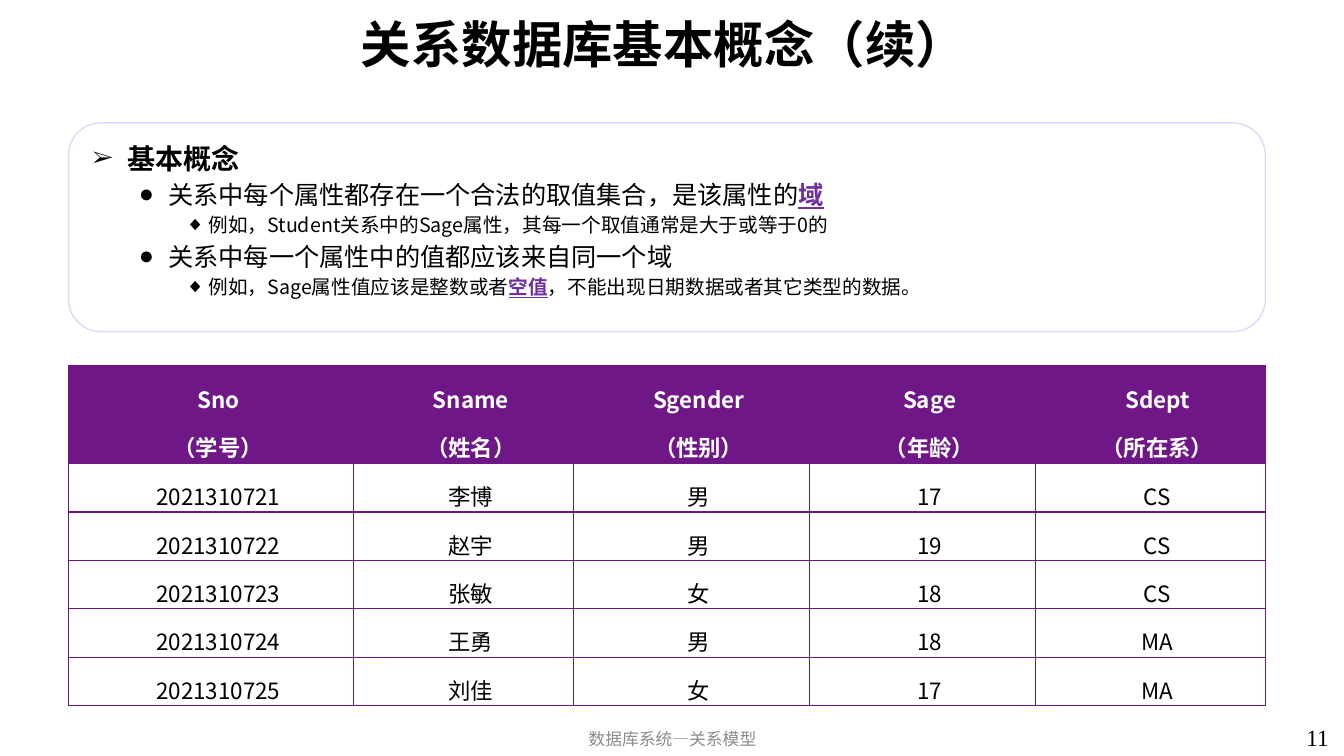
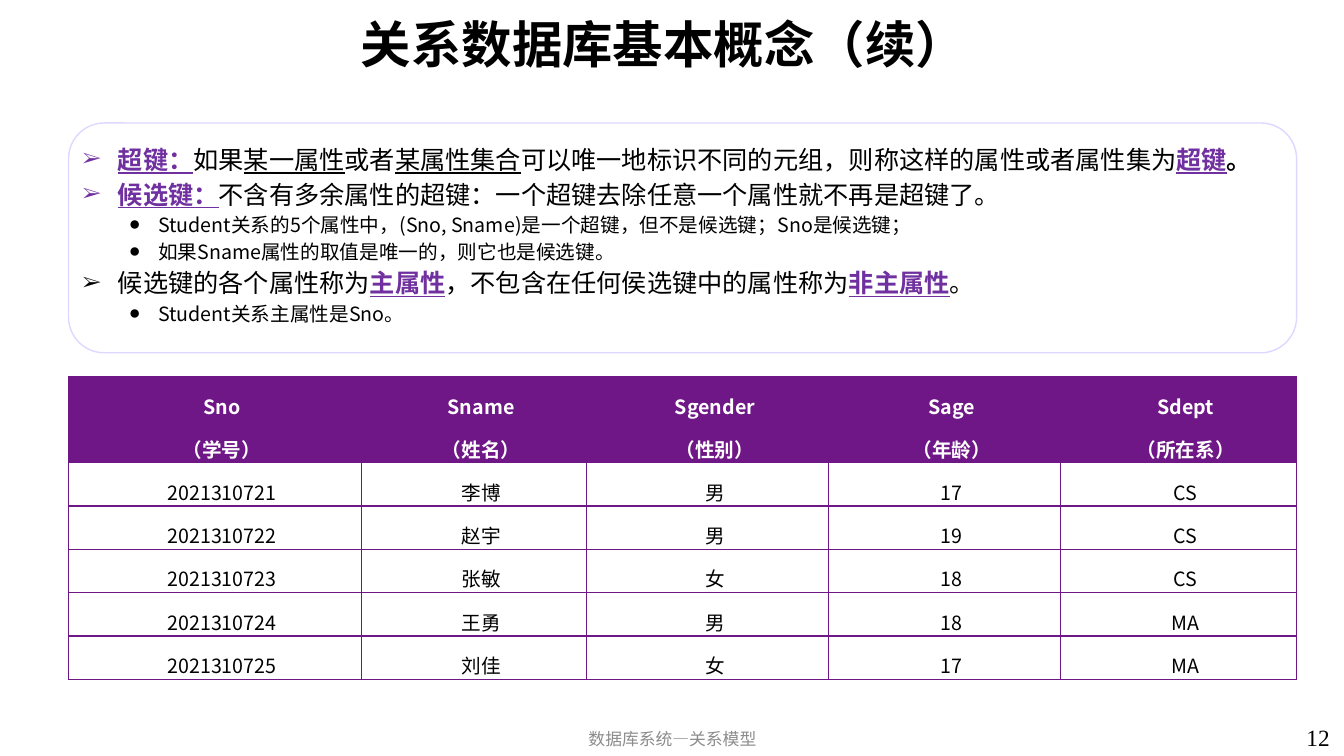
from lxml.etree import SubElement
from pptx import Presentation
from pptx.dml.color import RGBColor
from pptx.enum.shapes import MSO_SHAPE as Preset
from pptx.enum.text import MSO_ANCHOR as Anchor, PP_ALIGN as Align
from pptx.oxml.ns import qn
from pptx.util import Pt

EMU_PER_PX = 9144
SANS = "Noto Sans CJK SC"
SERIF = "Times New Roman"
BLACK = RGBColor(0x00, 0x00, 0x00)
WHITE = RGBColor(0xFF, 0xFF, 0xFF)
GRAY = RGBColor(0x8C, 0x8C, 0x8C)
PURPLE = RGBColor(0x6F, 0x17, 0x87)
VIOLET = RGBColor(0x70, 0x30, 0xA0)
LAVENDER = RGBColor(0xDD, 0xD8, 0xFF)

PLAIN = {}
BOLD = {"bold": True}
UNDERLINED = {"underline": True}
KEY = {"color": VIOLET, "bold": True, "underline": True}
LEVELS = [("➢", 80, 35, -35), ("●", 100, 75, -29), ("◆", 100, 115, -23)]

TITLE = "关系数据库基本概念（续）"
FOOTER = "数据库系统—关系模型"
COLUMN_WEIGHTS = [283, 218, 234, 224, 228]
STUDENTS = [
    ["Sno\n（学号）", "Sname\n（姓名）", "Sgender\n（性别）", "Sage\n（年龄）", "Sdept\n（所在系）"],
    ["2021310721", "李博", "男", "17", "CS"],
    ["2021310722", "赵宇", "男", "19", "CS"],
    ["2021310723", "张敏", "女", "18", "CS"],
    ["2021310724", "王勇", "男", "18", "MA"],
    ["2021310725", "刘佳", "女", "17", "MA"],
]
DOMAIN_POINTS = [
    (0, 20, [("基本概念", BOLD)]),
    (1, 18, [("关系中每个属性都存在一个合法的取值集合，是该属性的", PLAIN), ("域", KEY)]),
    (2, 14, [("例如，Student关系中的Sage属性，其每一个取值通常是大于或等于0的", PLAIN)]),
    (1, 18, [("关系中每一个属性中的值都应该来自同一个域", PLAIN)]),
    (2, 14, [("例如，Sage属性值应该是整数或者", PLAIN), ("空值", KEY),
             ("，不能出现日期数据或者其它类型的数据。", PLAIN)]),
]
KEY_POINTS = [
    (0, 18, [("超键：", KEY), ("如果", PLAIN), ("某一属性", UNDERLINED), ("或者", PLAIN),
             ("某属性集合", UNDERLINED),
             ("可以唯一地标识不同的元组，则称这样的属性或者属性集为", PLAIN),
             ("超键", KEY), ("。", BOLD)]),
    (0, 18, [("候选键：", KEY),
             ("不含有多余属性的超键：一个超键去除任意一个属性就不再是超键了。", PLAIN)]),
    (1, 14, [("Student关系的5个属性中，(Sno, Sname)是一个超键，但不是候选键；Sno是候选键；", PLAIN)]),
    (1, 14, [("如果Sname属性的取值是唯一的，则它也是候选键。", PLAIN)]),
    (0, 18, [("候选键的各个属性称为", PLAIN), ("主属性", KEY),
             ("，不包含在任何侯选键中的属性称为", PLAIN), ("非主属性", KEY), ("。", PLAIN)]),
    (1, 14, [("Student关系主属性是Sno。", PLAIN)]),
]


def px(*lengths):
    return [round(length * EMU_PER_PX) for length in lengths]


class Deck:
    """Holds the shared style and draws elements on the current slide."""

    def __init__(self):
        self.presentation = Presentation()
        self.presentation.slide_width, self.presentation.slide_height = px(1333, 750)
        self.slide = None

    def add_slide(self, number):
        self.slide = self.presentation.slides.add_slide(self.presentation.slide_layouts[6])
        self.label(TITLE, 106, 6, 1104, 74, 36, bold=True)
        self.label(FOOTER, 442, 716, 450, 34, 12, color=GRAY)
        self.label(str(number), 1286, 713, 63, 52, 16.6, font=SERIF,
                   align=Align.LEFT, anchor=Anchor.TOP)

    def style_run(self, run, size, color=BLACK, bold=False, underline=False, font=SANS):
        run.font.size = Pt(size)
        run.font.bold = bold
        run.font.underline = underline
        run.font.color.rgb = color
        run.font.name = font
        SubElement(run.font._element, qn("a:ea"), typeface=font)

    def text_box(self, left, top, width, height, anchor=Anchor.TOP):
        text_frame = self.slide.shapes.add_textbox(*px(left, top, width, height)).text_frame
        text_frame.word_wrap = True
        text_frame.vertical_anchor = anchor
        return text_frame

    def label(self, text, left, top, width, height, size,
              align=Align.CENTER, anchor=Anchor.MIDDLE, **style):
        text_frame = self.text_box(left, top, width, height, anchor)
        text_frame.text = text
        paragraph = text_frame.paragraphs[0]
        paragraph.alignment = align
        self.style_run(paragraph.runs[0], size, **style)

    def indent(self, paragraph, margin, first_line):
        properties = paragraph._p.get_or_add_pPr()
        for name, length in zip(("marL", "indent"), px(margin, first_line)):
            properties.set(name, str(length))
        return properties

    def panel(self, left, top, width, height):
        shape = self.slide.shapes.add_shape(Preset.ROUNDED_RECTANGLE, *px(left, top, width, height))
        shape.adjustments[0] = 0.155
        shape.shadow.inherit = False
        shape.fill.solid()
        shape.fill.fore_color.rgb = WHITE
        shape.line.color.rgb = LAVENDER
        shape.line.width = Pt(1)

    def bullets(self, points, left, top, width, height):
        text_frame = self.text_box(left, top, width, height)
        for index, (level, size, runs) in enumerate(points):
            paragraph = text_frame.add_paragraph() if index else text_frame.paragraphs[0]
            character, percent, margin, first_line = LEVELS[level]
            properties = self.indent(paragraph, margin, first_line)
            SubElement(properties, qn("a:buSzPct"), val=str(percent * 1000))
            SubElement(properties, qn("a:buFont"), typeface=SERIF)
            SubElement(properties, qn("a:buChar"), char=character)
            paragraph.level = level
            if index:
                paragraph.space_before = Pt(size * 0.18)
            for text, style in runs:
                run = paragraph.add_run()
                run.text = text
                self.style_run(run, size, **style)

    def border(self, cell):
        properties = cell._tc.get_or_add_tcPr()
        for side in ("lnL", "lnR", "lnT", "lnB"):
            line = SubElement(properties, qn(f"a:{side}"), w=str(Pt(1)))
            fill = SubElement(line, qn("a:solidFill"))
            SubElement(fill, qn("a:srgbClr"), val=str(PURPLE))

    def table_cell(self, cell, text, size, is_header):
        self.border(cell)
        cell.fill.solid()
        cell.fill.fore_color.rgb = PURPLE if is_header else WHITE
        cell.margin_left, cell.margin_right, cell.margin_top, cell.margin_bottom = px(7, 7, 0, 0)
        cell.vertical_anchor = Anchor.MIDDLE
        cell.text_frame.text = text
        for paragraph in cell.text_frame.paragraphs:
            self.indent(paragraph, 0, 14)
            paragraph.alignment = Align.CENTER
            paragraph.line_spacing = 1.5
            self.style_run(paragraph.runs[0], size, WHITE if is_header else BLACK, is_header)

    def table(self, rows, left, top, width, header_height, row_height, size):
        heights = [header_height] + [row_height] * (len(rows) - 1)
        frame = self.slide.shapes.add_table(
            len(rows), len(COLUMN_WEIGHTS), *px(left, top, width, sum(heights)))
        table = frame.table
        table.horz_banding = False
        for column, weight in zip(table.columns, COLUMN_WEIGHTS):
            column.width = px(width * weight / sum(COLUMN_WEIGHTS))[0]
        for row, height in zip(table.rows, heights):
            row.height = px(height)[0]
        for row_index, texts in enumerate(rows):
            for column_index, text in enumerate(texts):
                self.table_cell(table.cell(row_index, column_index), text, size, row_index == 0)


def main():
    deck = Deck()

    deck.add_slide(11)
    deck.panel(68, 122, 1187, 207)
    deck.bullets(DOMAIN_POINTS, 82, 135, 1136, 194)
    deck.table(STUDENTS, 68, 363, 1187, 97, 48, 16)

    deck.add_slide(12)
    deck.panel(68, 122, 1218, 228)
    deck.bullets(KEY_POINTS, 72, 138, 1222, 215)
    deck.table(STUDENTS, 68, 374, 1218, 85, 43, 14)

    deck.presentation.save("out.pptx")


if __name__ == "__main__":
    main()
